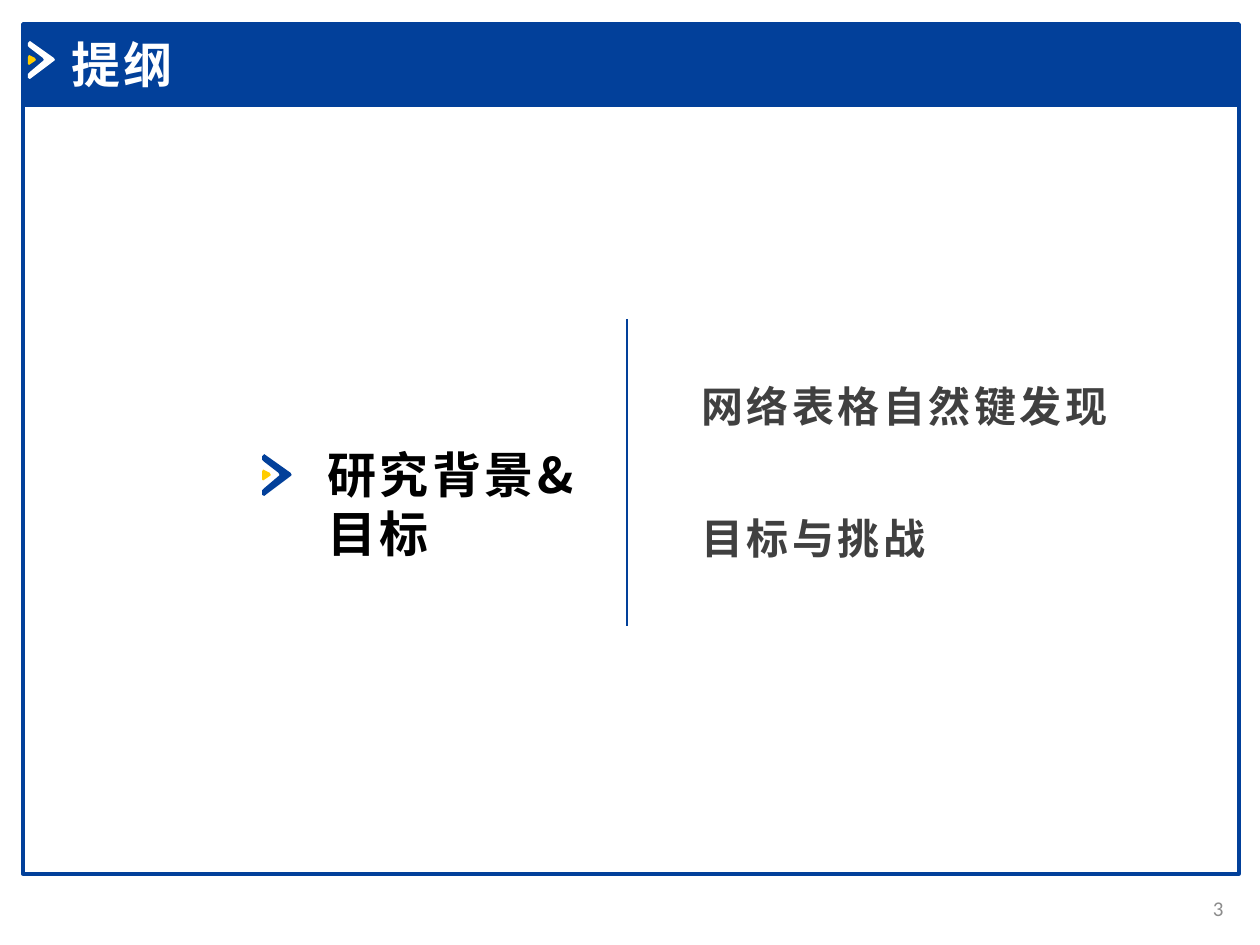
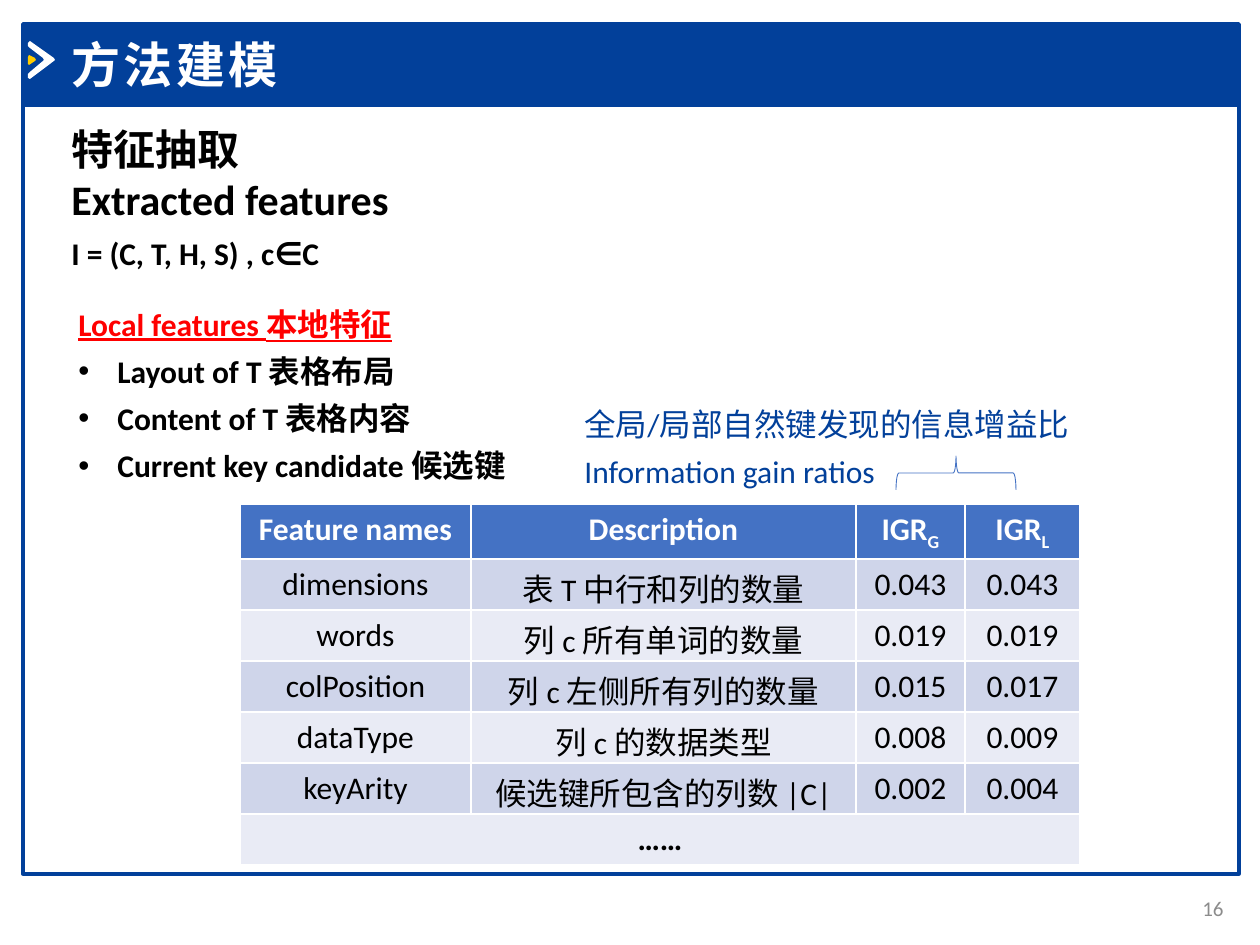
from lxml.etree import SubElement
from pptx import Presentation
from pptx.dml.color import RGBColor
from pptx.enum.shapes import MSO_CONNECTOR, MSO_SHAPE
from pptx.enum.text import MSO_ANCHOR, MSO_AUTO_SIZE, PP_ALIGN
from pptx.oxml.ns import qn
from pptx.util import Pt

EMU_PER_PX = 914400 / 126
PAGE = (1260, 945)
LATIN, CJK = "Calibri", "Noto Sans CJK SC"
COLORS = {
    "navy": "02409A", "yellow": "FFCC00", "white": "FFFFFF", "black": "000000",
    "gray": "8C8C8C", "dark": "404040", "red": "FF0000", "blue": "4472C4",
    "row_dark": "CFD5EA", "row_light": "E9EBF5",
}
FRAME = (23, 105, 1216, 769)
BAND = (23, 24, 1216, 81)
TITLE = (59, 28, 449, 72)
NUMBER = (1162, 883, 74, 50)
CHEVRON = [(0, 3), (2, 1), (26, 18), (27, 20), (26, 21), (2, 39), (0, 38),
           (0, 34), (2, 32), (15, 21), (16, 20), (15, 18), (2, 8), (0, 6)]
CHEVRON_DOT = [(0, 17), (1, 15), (7, 18), (8, 20), (7, 21), (1, 25), (0, 24)]

SECTION = "研究背景&目标"
TOPICS = ["网络表格自然键发现", "目标与挑战"]

HEADINGS = ["特征抽取", "Extracted features"]
FORMULA = "I = (C, T, H, S) , c∈C"
LOCAL_HEADING = "Local features 本地特征"
LOCAL_FEATURES = ["Layout of T 表格布局", "Content of T 表格内容",
                  "Current key candidate 候选键"]
GAIN_NOTE = ["全局/局部自然键发现的信息增益比", "Information gain ratios"]
COLUMN_WIDTHS = [231, 385, 109, 115]
HEADER_HEIGHT, ROW_HEIGHT = 55, 51
TABLE_HEADER = [("Feature names", ""), ("Description", ""), ("IGR", "G"), ("IGR", "L")]
TABLE_ROWS = [
    ("dimensions", "表 T 中行和列的数量", "0.043", "0.043"),
    ("words", "列 c 所有单词的数量", "0.019", "0.019"),
    ("colPosition", "列 c 左侧所有列的数量", "0.015", "0.017"),
    ("dataType", "列 c 的数据类型", "0.008", "0.009"),
    ("keyArity", "候选键所包含的列数 |C|", "0.002", "0.004"),
    ("……", "", "", ""),
]


def px(*lengths):
    """Turn pixel lengths into EMU."""
    return [round(length * EMU_PER_PX) for length in lengths]


def rgb(name):
    """Look up a colour by name."""
    return RGBColor.from_string(COLORS[name])


def style(paragraph, size, color, bold=False, name=LATIN, spacing=0, underline=False):
    """Set the font of a whole paragraph."""
    font = paragraph.font
    font.size, font.bold, font.name = Pt(size), bold, name
    font.color.rgb = rgb(color)
    if underline:
        font.underline = True
    if spacing:
        font._element.set("spc", str(spacing * 100))
    SubElement(font._element, qn("a:ea"), typeface=CJK)


def add_text(slide, box, lines, size, color, line_spacing=None, **font):
    """Add a wrapping text box and return its shape."""
    shape = slide.shapes.add_textbox(*px(*box))
    frame = shape.text_frame
    frame.word_wrap = True
    frame.text = "\n".join(lines)
    for paragraph in frame.paragraphs:
        if line_spacing:
            paragraph.line_spacing = line_spacing
        style(paragraph, size, color, **font)
    return shape


def paint(shape, fill=None, line=None, width=2):
    """Set fill and line of a shape without shadow."""
    shape.shadow.inherit = False
    if fill:
        shape.fill.solid()
        shape.fill.fore_color.rgb = rgb(fill)
    else:
        shape.fill.background()
    if line:
        shape.line.color.rgb = rgb(line)
        shape.line.width = Pt(width)
    else:
        shape.line.fill.background()


def add_chevron(slide, left, top, color, scale=1):
    """Add the arrow mark with its yellow dot."""
    for points, fill in ((CHEVRON, color), (CHEVRON_DOT, "yellow")):
        builder = slide.shapes.build_freeform(*points[0], scale=EMU_PER_PX * scale)
        builder.add_line_segments(points[1:], close=True)
        paint(builder.convert_to_shape(*px(left, top)), fill)


def add_slide(presentation, title_text, number):
    """Add a slide with frame, title band and page number."""
    slide = presentation.slides.add_slide(presentation.slide_layouts[5])
    for box, fill in ((FRAME, None), (BAND, "navy")):
        paint(slide.shapes.add_shape(MSO_SHAPE.RECTANGLE, *px(*box)), fill, "navy")
    add_chevron(slide, 28, 40, "white")

    title = slide.shapes.title
    slide.shapes._spTree.append(title._element)
    title.left, title.top, title.width, title.height = px(*TITLE)
    frame = title.text_frame
    frame.text = title_text
    frame.auto_size = MSO_AUTO_SIZE.NONE
    frame.vertical_anchor = MSO_ANCHOR.TOP
    frame.paragraphs[0].alignment = PP_ALIGN.LEFT
    style(frame.paragraphs[0], 28, "white", bold=True, spacing=2)

    frame = add_text(slide, NUMBER, [str(number)], 12, "gray").text_frame
    frame.vertical_anchor = MSO_ANCHOR.MIDDLE
    frame.paragraphs[0].alignment = PP_ALIGN.RIGHT
    return slide


def add_bullet(paragraph, indent):
    """Give a paragraph a hanging bullet."""
    properties = paragraph._p.get_or_add_pPr()
    properties.set("marL", str(indent))
    properties.set("indent", str(-indent))
    SubElement(properties, qn("a:buFont"), typeface="Arial")
    SubElement(properties, qn("a:buChar"), char="•")


def fill_cell(cell, text, fill, color, bold, subscript=""):
    """Write and format one table cell."""
    cell.fill.solid()
    cell.fill.fore_color.rgb = rgb(fill)
    cell.margin_bottom = 0
    paragraph = cell.text_frame.paragraphs[0]
    paragraph.alignment = PP_ALIGN.CENTER
    style(paragraph, 18, color, bold)
    if text:
        paragraph.add_run().text = text
    if subscript:
        run = paragraph.add_run()
        run.text = subscript
        run.font._element.set("baseline", "-25000")


def add_feature_table(slide):
    """Add the table of features and gain ratios."""
    row_count = len(TABLE_ROWS) + 1
    height = HEADER_HEIGHT + ROW_HEIGHT * len(TABLE_ROWS)
    table = slide.shapes.add_table(
        row_count, len(COLUMN_WIDTHS), *px(240, 504, sum(COLUMN_WIDTHS), height)).table
    for column, width in zip(table.columns, px(*COLUMN_WIDTHS)):
        column.width = width
    for row, row_height in zip(table.rows, px(HEADER_HEIGHT, *[ROW_HEIGHT] * len(TABLE_ROWS))):
        row.height = row_height
    for index, (text, subscript) in enumerate(TABLE_HEADER):
        fill_cell(table.cell(0, index), text, "blue", "white", True, subscript)
    for row_index, values in enumerate(TABLE_ROWS, 1):
        fill = "row_dark" if row_index % 2 else "row_light"
        for index, text in enumerate(values):
            fill_cell(table.cell(row_index, index), text, fill, "black", text == "……")
    last = row_count - 1
    table.cell(last, 0).merge(table.cell(last, len(COLUMN_WIDTHS) - 1))


def build_outline(presentation):
    """Build the outline slide."""
    slide = add_slide(presentation, "提纲", 3)
    heavy = {"bold": True, "name": CJK, "spacing": 2}
    add_text(slide, (315, 438, 292, 131), [SECTION], 28, "black", **heavy)
    add_chevron(slide, 262, 453, "navy", 1.1)
    for index, topic in enumerate(TOPICS):
        add_text(slide, (689, 374 + 132 * index, 442, 63), [topic], 24, "dark", **heavy)
    divider = slide.shapes.add_connector(MSO_CONNECTOR.STRAIGHT, *px(627, 319, 627, 626))
    divider.line.color.rgb = rgb("navy")
    divider.line.width = Pt(1.5)
    SubElement(divider._element.spPr, qn("a:effectLst"))


def build_features(presentation):
    """Build the feature extraction slide."""
    slide = add_slide(presentation, "方法建模", 16)
    add_text(slide, (59, 117, 1050, 115), HEADINGS, 24, "black", bold=True)
    add_text(slide, (59, 228, 292, 50), [FORMULA], 18, "black", bold=True)

    shape = add_text(slide, (66, 289, 571, 486), [LOCAL_HEADING], 18, "red",
                     line_spacing=1.25, bold=True, underline=True)
    for feature in LOCAL_FEATURES:
        paragraph = shape.text_frame.add_paragraph()
        paragraph.text = feature
        paragraph.line_spacing = 1.25
        add_bullet(paragraph, *px(39))
        style(paragraph, 18, "black", bold=True)

    add_feature_table(slide)
    add_text(slide, (572, 389, 571, 105), GAIN_NOTE, 18, "navy", line_spacing=1.25)
    brace = slide.shapes.add_shape(MSO_SHAPE.LEFT_BRACE, *px(939, 413, 34, 120))
    brace.rotation = 90
    paint(brace, line="blue", width=0.5)


def main():
    """Build and save the presentation."""
    presentation = Presentation()
    presentation.slide_width, presentation.slide_height = px(*PAGE)
    build_outline(presentation)
    build_features(presentation)
    presentation.save("out.pptx")


if __name__ == "__main__":
    main()
